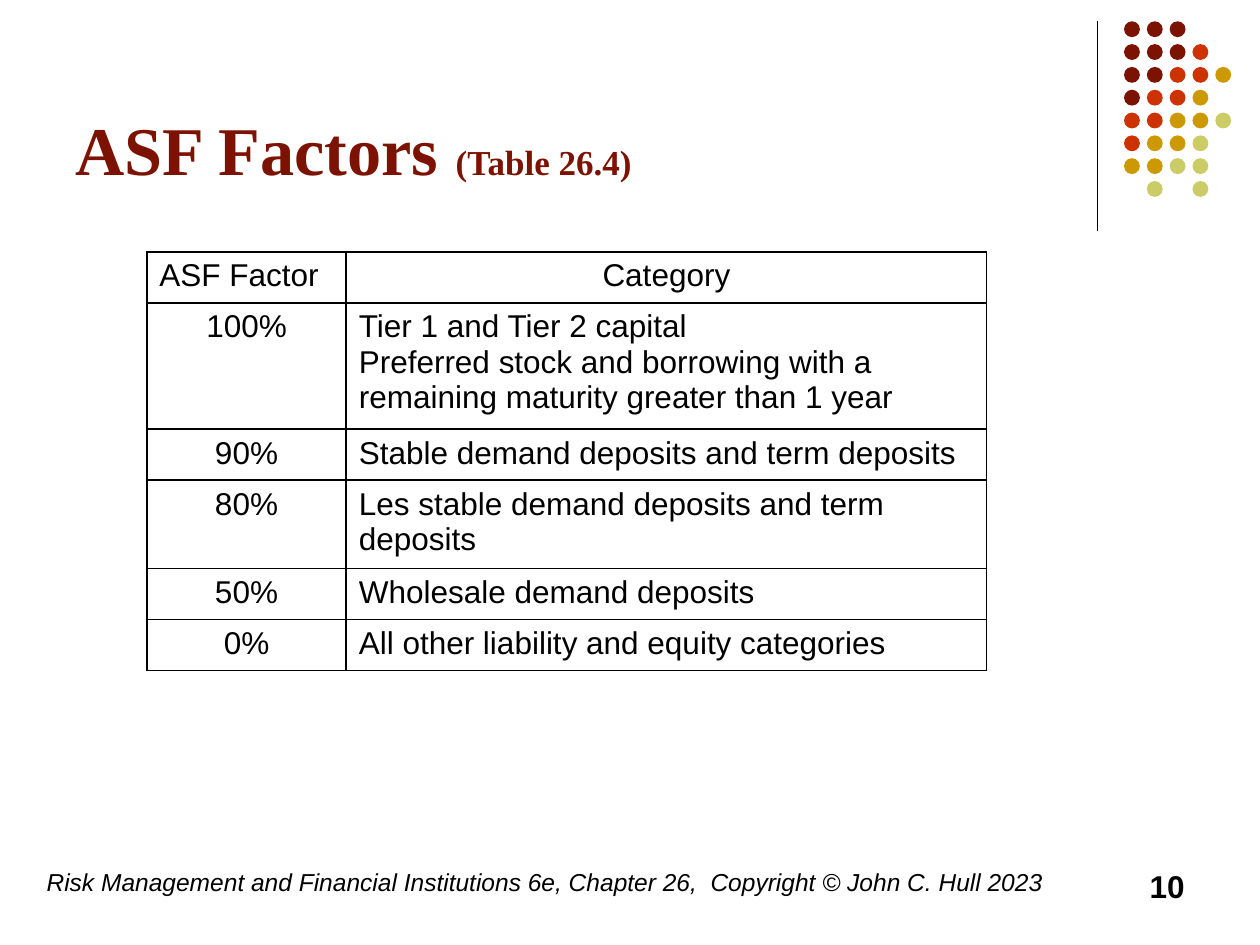
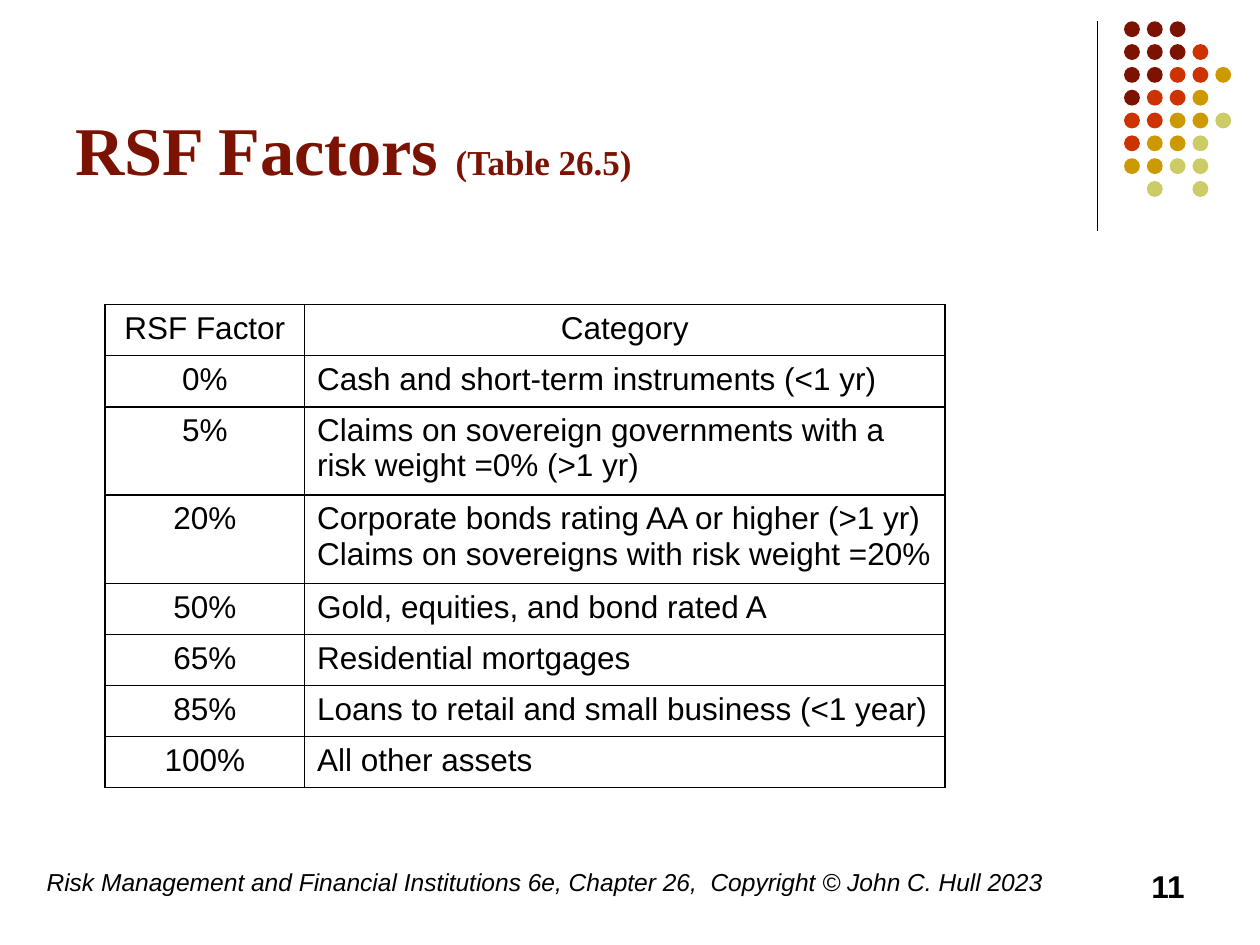
from lxml import etree
from pptx import Presentation
from pptx.dml.color import RGBColor
from pptx.enum.shapes import MSO_CONNECTOR as Connector, MSO_SHAPE as Shape
from pptx.enum.text import MSO_ANCHOR as Anchor, PP_ALIGN as Align
from pptx.oxml import parse_xml
from pptx.oxml.ns import nsdecls, qn
from pptx.util import Cm, Pt

BLACK, MAROON = "000000", "7C1302"
DOT_COLOURS = {"m": MAROON, "r": "CC3300", "g": "CC9900", "y": "CCCC66"}
DOT_ROWS = ["mmm", "mmmr", "mmrrg", "mrrg", "rrggy", "rggy", "ggyy", " y y"]
FOOTER = ("Risk Management and Financial Institutions 6e, Chapter 26,  "
          "Copyright © John C. Hull 2023")


def colour(hex_text):
    return RGBColor.from_string(hex_text)


def write(para, text, size=18, font="Arial", ink=BLACK, bold=False, italic=False,
          align=Align.LEFT):
    """Add one formatted span to a paragraph."""
    para.alignment = align
    span = para.add_run()
    span.text = text
    span.font.size = Pt(size)
    span.font.name = font
    span.font.bold = bold
    span.font.italic = italic
    span.font.color.rgb = colour(ink)


class FactorDeck:
    """Holds the shared style and the current slide."""

    def __init__(self):
        self.deck = Presentation()
        self.deck.slide_width, self.deck.slide_height = Cm(25.4), Cm(19.05)
        self.page = None

    def add_page(self, title, table_note, number):
        self.page = self.deck.slides.add_slide(self.deck.slide_layouts[6])
        self.rule(22.12, 0.43, 4.65)
        self.dots(22.66, 0.43, pitch=0.46, size=0.32)
        # Title with its smaller table reference
        para = self.text_box(1.27, 0.33, 20.96, 3.6, Anchor.BOTTOM)
        style = dict(font="Times New Roman", ink=MAROON, bold=True)
        write(para, title + " ", size=39, **style)
        write(para, table_note, size=20, **style)
        # Footer and page number
        write(self.text_box(0.69, 17.35, 21, 1.27), FOOTER, size=14, italic=True)
        write(self.text_box(18.21, 17.35, 5.92, 1.27), str(number), bold=True,
              align=Align.RIGHT)

    def text_box(self, left, top, width, height, anchor=Anchor.TOP):
        box = self.page.shapes.add_textbox(Cm(left), Cm(top), Cm(width), Cm(height))
        box.text_frame.word_wrap = True
        box.text_frame.vertical_anchor = anchor
        return box.text_frame.paragraphs[0]

    def rule(self, x, top, bottom):
        line = self.page.shapes.add_connector(
            Connector.STRAIGHT, Cm(x), Cm(top), Cm(x), Cm(bottom))
        line.line.color.rgb = colour(BLACK)
        line.line.width = Pt(0.75)
        etree.SubElement(line._element.spPr, qn("a:effectLst"))

    def dots(self, left, top, pitch, size):
        group = self.page.shapes.add_group_shape()
        for row, codes in enumerate(DOT_ROWS):
            for column, code in enumerate(codes):
                if code == " ":
                    continue
                dot = group.shapes.add_shape(
                    Shape.OVAL, Cm(left + column * pitch), Cm(top + row * pitch),
                    Cm(size), Cm(size))
                dot.shadow.inherit = False
                dot.fill.solid()
                dot.fill.fore_color.rgb = colour(DOT_COLOURS[code])
                dot.line.fill.background()

    def table(self, left, top, rows, heights, first_align=Align.CENTER):
        widths = (4.02, 12.91)
        table = self.page.shapes.add_table(
            len(rows), len(widths), Cm(left), Cm(top),
            Cm(sum(widths)), Cm(sum(heights))).table
        table.first_row = table.horz_banding = False
        for column, width in zip(table.columns, widths):
            column.width = Cm(width)
        for r, (row, height) in enumerate(zip(rows, heights)):
            table.rows[r].height = Cm(height)
            for c, text in enumerate(row):
                align = Align.CENTER if r == 0 or c == 0 else Align.LEFT
                if r == c == 0:
                    align = first_align
                self.fill_cell(table.cell(r, c), text, align)

    def fill_cell(self, cell, text, align):
        cell.fill.background()
        self.border(cell)
        frame = cell.text_frame
        for i, line in enumerate(text.split("\n")):
            para = frame.add_paragraph() if i else frame.paragraphs[0]
            write(para, line, align=align)

    def border(self, cell):
        properties = cell._tc.get_or_add_tcPr()
        for i, side in enumerate(("lnL", "lnR", "lnT", "lnB")):
            properties.insert(i, parse_xml(
                f'<a:{side} {nsdecls("a")} w="{Pt(1)}"><a:solidFill>'
                f'<a:srgbClr val="{BLACK}"/></a:solidFill></a:{side}>'))


def main():
    one_line, two_lines = 1.03, 1.67
    slides = FactorDeck()

    # Available stable funding
    slides.add_page("ASF Factors", "(Table 26.4)", 10)
    asf_rows = [
        ("ASF Factor", "Category"),
        ("100%", "Tier 1 and Tier 2 capital\nPreferred stock and borrowing with a "
                 "remaining maturity greater than 1 year"),
        ("90%", "Stable demand deposits and term deposits"),
        ("80%", "Les stable demand deposits and term deposits"),
        ("50%", "Wholesale demand deposits"),
        ("0%", "All other liability and equity categories"),
    ]
    slides.table(2.96, 5.08, asf_rows,
                 [one_line, 2.54, one_line, 1.78, one_line, one_line],
                 first_align=Align.LEFT)

    # Required stable funding
    slides.add_page("RSF Factors", "(Table 26.5)", 11)
    rsf_rows = [
        ("RSF Factor", "Category"),
        ("0%", "Cash and short-term instruments (<1 yr)"),
        ("5%", "Claims on sovereign governments with a risk weight =0% (>1 yr)"),
        ("20%", "Corporate bonds rating AA or higher (>1 yr)\n"
                "Claims on sovereigns with risk weight =20%"),
        ("50%", "Gold, equities, and bond rated A"),
        ("65%", "Residential mortgages"),
        ("85%", "Loans to retail and small business (<1 year)"),
        ("100%", "All other assets"),
    ]
    slides.table(2.12, 6.14, rsf_rows,
                 [one_line] * 2 + [two_lines] * 2 + [one_line] * 4)

    slides.deck.save("out.pptx")


if __name__ == "__main__":
    main()
